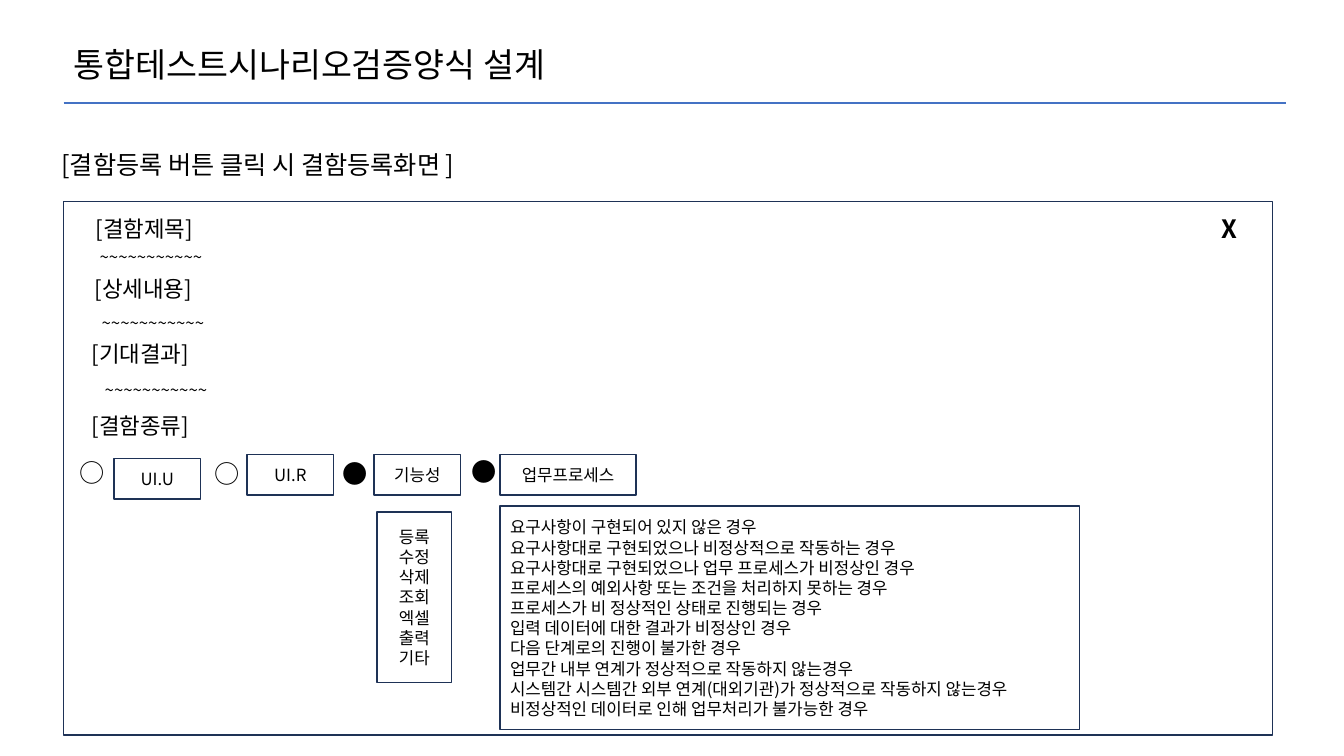
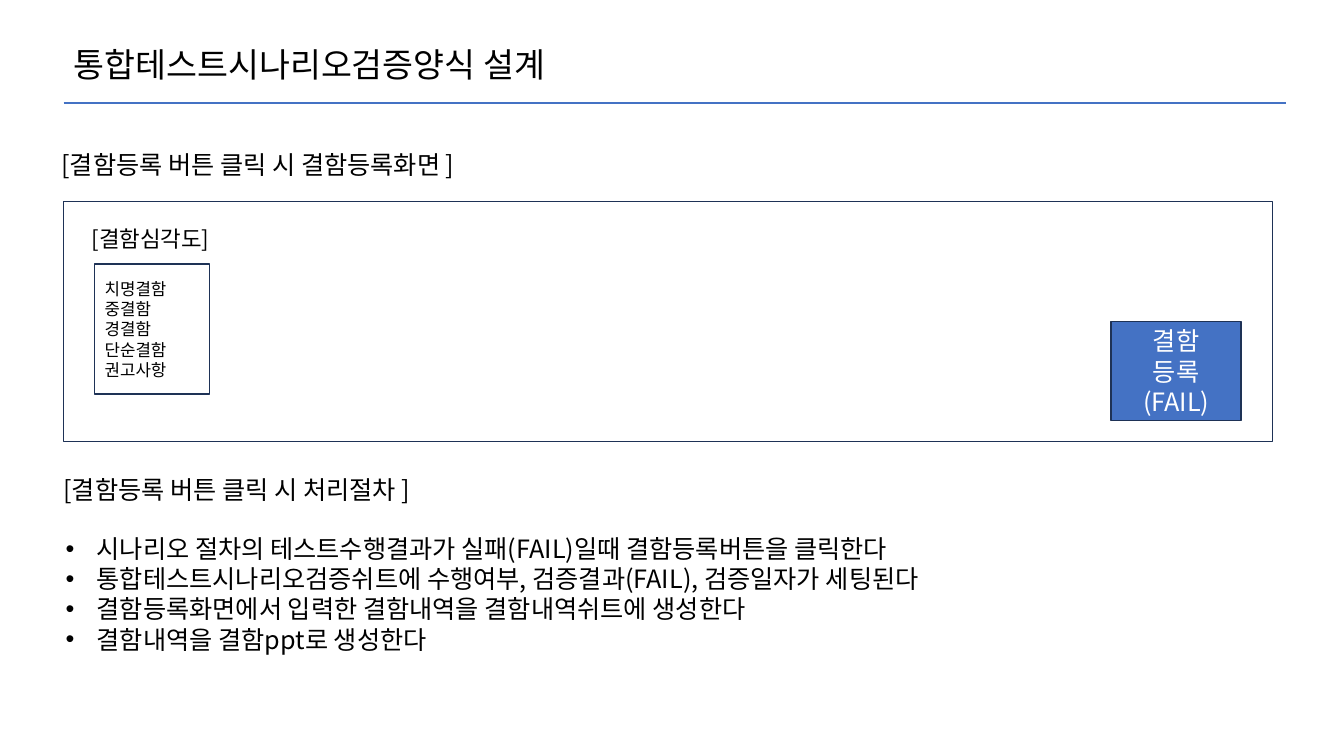
from dataclasses import dataclass

from lxml import etree
from pptx import Presentation
from pptx.dml.color import RGBColor
from pptx.enum.shapes import MSO_CONNECTOR as Connector, MSO_SHAPE as Shape
from pptx.enum.text import MSO_ANCHOR as Anchor, MSO_AUTO_SIZE as AutoSize, PP_ALIGN as Align
from pptx.oxml.ns import qn
from pptx.slide import Slide
from pptx.text.text import TextFrame
from pptx.util import Inches, Pt

FONT = "Noto Sans CJK KR"
BLACK = RGBColor(0x00, 0x00, 0x00)
WHITE = RGBColor(0xFF, 0xFF, 0xFF)
BLUE = RGBColor(0x44, 0x72, 0xC4)
NAVY = RGBColor(0x1E, 0x32, 0x56)

TITLE_ONLY, TITLE_AND_BODY = 5, 1
TITLE = "통합테스트시나리오검증양식 설계"
SCREEN_HEADING = "[결함등록 버튼 클릭 시 결함등록화면 ]"
LEFT, PANEL_TOP, PANEL_WIDTH = 0.63, 2, 11.99


@dataclass
class Label:
    text: str
    left: float
    top: float
    width: float = 2.73
    height: float = 0.37
    size: int = 16
    bold: bool = False


@dataclass
class Box:
    lines: list[str]
    left: float
    top: float
    width: float
    height: float
    align: Align = Align.CENTER
    size: int = 12
    color: RGBColor = BLACK
    fill: RGBColor | None = None


def write(frame: TextFrame, lines: list[str], size: int, color: RGBColor = BLACK,
          align: Align = Align.LEFT, anchor: Anchor = Anchor.TOP, bold: bool = False) -> None:
    frame.text = "\n".join(lines)
    frame.word_wrap = True
    frame.auto_size = AutoSize.NONE
    frame.vertical_anchor = anchor
    for paragraph in frame.paragraphs:
        paragraph.alignment = align
        paragraph.space_before = Pt(0)
        font = paragraph.font
        font.name, font.size, font.bold = FONT, Pt(size), bold
        font.color.rgb = color
        # Hangul takes the East Asian typeface
        defaults = paragraph._p.pPr.find(qn("a:defRPr"))
        etree.SubElement(defaults, qn("a:ea")).set("typeface", FONT)


def place(shape, left: float, top: float, width: float, height: float) -> None:
    shape.left, shape.top = Inches(left), Inches(top)
    shape.width, shape.height = Inches(width), Inches(height)


def add_label(slide: Slide, label: Label) -> None:
    textbox = slide.shapes.add_textbox(Inches(label.left), Inches(label.top),
                                       Inches(label.width), Inches(label.height))
    write(textbox.text_frame, [label.text], label.size, bold=label.bold)


def add_box(slide: Slide, box: Box) -> None:
    rect = slide.shapes.add_shape(Shape.RECTANGLE, Inches(box.left), Inches(box.top),
                                  Inches(box.width), Inches(box.height))
    rect.shadow.inherit = False
    if box.fill is None:
        rect.fill.background()
    else:
        rect.fill.solid()
        rect.fill.fore_color.rgb = box.fill
    rect.line.color.rgb = NAVY
    rect.line.width = Pt(1)
    if box.lines:
        write(rect.text_frame, box.lines, box.size, box.color, box.align, Anchor.MIDDLE)


def add_screen(deck, layout: int, panel_height: float) -> Slide:
    """Add a slide with the title, rule, screen heading and screen panel."""
    slide = deck.slides.add_slide(deck.slide_layouts[layout])
    title = slide.shapes.title
    place(title, LEFT, 0.39, 5.9, 0.5)
    write(title.text_frame, [TITLE], 24)

    rule = slide.shapes.add_connector(Connector.STRAIGHT, Inches(LEFT), Inches(1.02),
                                      Inches(12.75), Inches(1.02))
    rule.line.color.rgb = BLUE
    rule.line.width = Pt(1.75)
    etree.SubElement(rule._element.spPr, qn("a:effectLst"))

    add_label(slide, Label(SCREEN_HEADING, 0.51, 1.43, 4.59, 0.4, 18))
    add_box(slide, Box([], LEFT, PANEL_TOP, PANEL_WIDTH, panel_height))
    return slide


def build_defect_form(deck) -> None:
    slide = add_screen(deck, TITLE_ONLY, 5.29)

    # Field headings and the close mark
    labels = [
        Label("X", 12.02, 2.07, 0.23, 0.4, 18, bold=True),
        Label("[결함제목]", 0.85, 2.09),
        Label("[상세내용]", 0.84, 2.68),
        Label("[기대결과]", 0.81, 3.33),
        Label("[결함종류]", 0.81, 4.04),
    ]
    # Placeholder text under the first three fields
    labels += [Label("~" * 11, left, top, 1.49, 0.3, 12)
               for left, top in ((0.89, 2.4), (0.91, 3.05), (0.94, 3.72))]
    # Radio buttons of the defect types
    labels += [Label(mark, left, top, 0.42, 0.4, 18)
               for mark, left, top in (("○", 0.69, 4.49), ("○", 2.03, 4.5),
                                       ("●", 3.3, 4.5), ("●", 4.58, 4.48))]
    for label in labels:
        add_label(slide, label)

    # Defect types, with the choices of the selected ones below
    functions = ["등록", "수정", "삭제", "조회", "엑셀", "출력", "기타"]
    process_cases = [
        "요구사항이 구현되어 있지 않은 경우",
        "요구사항대로 구현되었으나 비정상적으로 작동하는 경우",
        "요구사항대로 구현되었으나 업무 프로세스가 비정상인 경우",
        "프로세스의 예외사항 또는 조건을 처리하지 못하는 경우",
        "프로세스가 비 정상적인 상태로 진행되는 경우",
        "입력 데이터에 대한 결과가 비정상인 경우",
        "다음 단계로의 진행이 불가한 경우",
        "업무간 내부 연계가 정상적으로 작동하지 않는경우",
        "시스템간 시스템간 외부 연계(대외기관)가 정상적으로 작동하지 않는경우",
        "비정상적인 데이터로 인해 업무처리가 불가능한 경우",
    ]
    for box in (
        Box(["UI.U"], 1.13, 4.55, 0.86, 0.4),
        Box(["UI.R"], 2.45, 4.51, 0.86, 0.4),
        Box(["기능성"], 3.71, 4.51, 0.86, 0.4),
        Box(["업무프로세스"], 4.96, 4.51, 1.35, 0.4),
        Box(functions, 3.74, 5.08, 0.74, 1.69),
        Box(process_cases, 4.96, 5.02, 5.75, 2.22, Align.LEFT),
    ):
        add_box(slide, box)


def build_severity_and_procedure(deck) -> None:
    slide = add_screen(deck, TITLE_AND_BODY, 2.38)

    # Severity choices and the register button
    add_label(slide, Label("[결함심각도]", 0.81, 2.18))
    severities = ["치명결함", "중결함", "경결함", "단순결함", "권고사항"]
    add_box(slide, Box(severities, 0.94, 2.62, 1.14, 1.29, Align.LEFT))
    add_box(slide, Box(["결함", "등록", "(FAIL)"], 11.02, 3.19, 1.29, 0.98,
                       size=18, color=WHITE, fill=BLUE))

    # Procedure after the button is clicked
    add_label(slide, Label("[결함등록 버튼 클릭 시 처리절차 ]", 0.53, 4.66, 4.08, 0.4, 18))
    procedure = slide.placeholders[1]
    place(procedure, 0.55, 5.24, 12.03, 1.31)
    write(procedure.text_frame, [
        "시나리오 절차의 테스트수행결과가 실패(FAIL)일때 결함등록버튼을 클릭한다",
        "통합테스트시나리오검증쉬트에 수행여부, 검증결과(FAIL), 검증일자가 세팅된다",
        "결함등록화면에서 입력한 결함내역을 결함내역쉬트에 생성한다",
        "결함내역을 결함ppt로 생성한다",
    ], 18)
    for step in procedure.text_frame.paragraphs:
        step._p.pPr.set("marL", str(Inches(0.31)))
        step._p.pPr.set("indent", str(-Inches(0.31)))


def main() -> None:
    deck = Presentation()
    deck.slide_width, deck.slide_height = Inches(13.33), Inches(7.5)
    build_defect_form(deck)
    build_severity_and_procedure(deck)
    deck.save("out.pptx")


if __name__ == "__main__":
    main()
